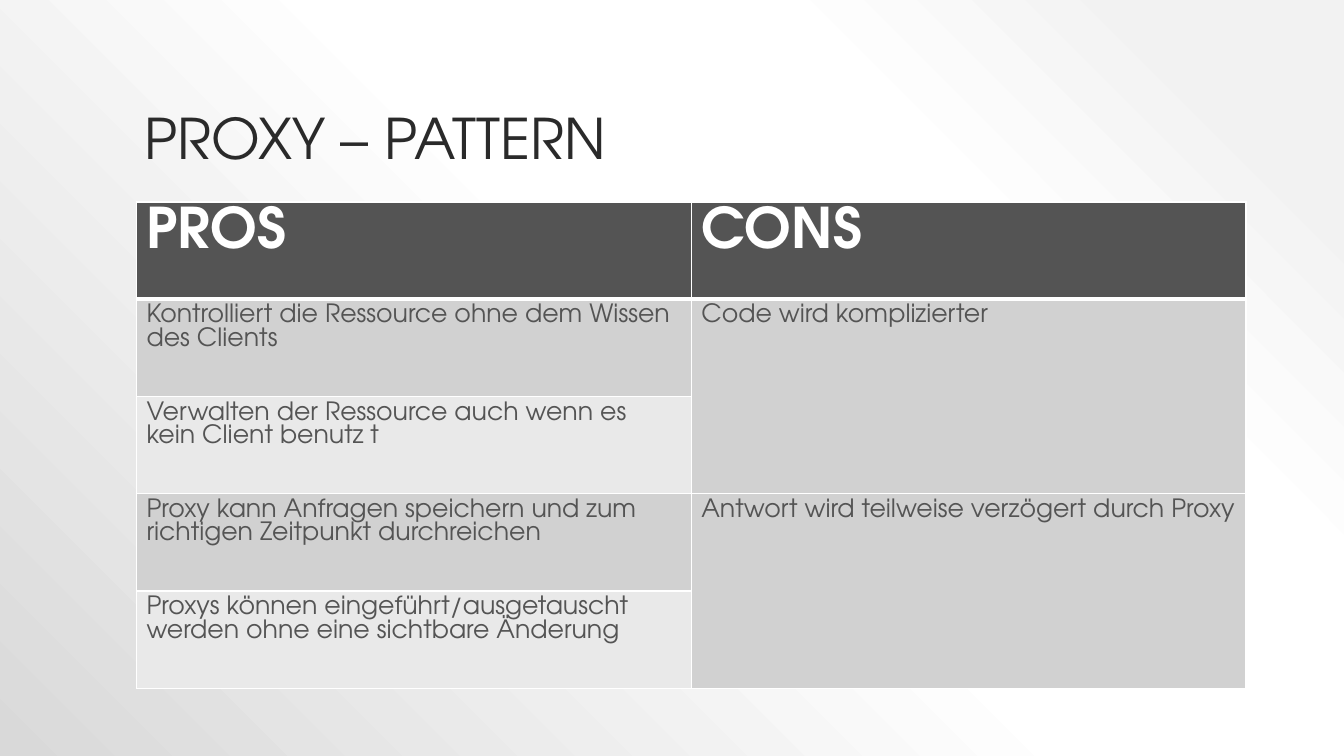
"""Build the slide that weighs the pros and cons of the proxy pattern."""
import dataclasses

import lxml.etree
import pptx
import pptx.dml.color
import pptx.enum.text
import pptx.oxml
import pptx.oxml.ns
import pptx.util

Cm = pptx.util.Cm
Pt = pptx.util.Pt
qn = pptx.oxml.ns.qn

FONT = "TeX Gyre Adventor"
COLOURS = {
    "title": "2A2A2A",
    "dark": "545454",
    "band": "D1D1D1",
    "light": "E9E9E9",
    "white": "FFFFFF",
    "mist": "F2F2F2",
    "shade": "D9D9D9",
}
BACKDROP_STOPS = ((10, "mist"), (28, "white"), (48, "white"), (100, "shade"))
ROW_COUNT = 5
ROW_HEIGHT = Cm(2.45)
COLUMN_WIDTH = Cm(13.98)


@dataclasses.dataclass(frozen=True)
class Argument:
    """One table entry with its place and the rows it spans."""

    row: int
    column: int
    text: str
    span: int = 1


ARGUMENTS = (
    Argument(0, 0, "PROS"),
    Argument(0, 1, "CONS"),
    Argument(1, 0, "Kontrolliert die Ressource ohne dem Wissen des Clients"),
    Argument(2, 0, "Verwalten der Ressource auch wenn es kein Client benutz t"),
    Argument(3, 0, "Proxy kann Anfragen speichern und zum richtigen Zeitpunkt durchreichen"),
    Argument(4, 0, "Proxys können eingeführt/ausgetauscht werden ohne eine sichtbare Änderung"),
    Argument(1, 1, "Code wird komplizierter", 2),
    Argument(3, 1, "Antwort wird teilweise verzögert durch Proxy", 2),
)


def rgb(name: str) -> pptx.dml.color.RGBColor:
    """Return the named colour."""
    return pptx.dml.color.RGBColor.from_string(COLOURS[name])


def style(paragraph, size: float, colour: str, bold: bool = False) -> None:
    """Set the font of a paragraph."""
    font = paragraph.font
    font.name, font.size, font.bold = FONT, Pt(size), bold
    font.color.rgb = rgb(colour)


def paint_backdrop(slide) -> None:
    """Spread a radial gradient from the top right corner."""
    slide.background.fill.gradient()
    gradient = slide.background._cSld.find(".//" + qn("a:gradFill"))
    for child in list(gradient):
        gradient.remove(child)
    stops = lxml.etree.SubElement(gradient, qn("a:gsLst"))
    for percent, colour in BACKDROP_STOPS:
        stop = lxml.etree.SubElement(stops, qn("a:gs"), pos=str(percent * 1000))
        lxml.etree.SubElement(stop, qn("a:srgbClr"), val=COLOURS[colour])
    circle = lxml.etree.SubElement(gradient, qn("a:path"), {"path": "circle"})
    lxml.etree.SubElement(circle, qn("a:fillToRect"), l="100000", b="100000")


def add_borders(cell, bottom: float) -> None:
    """Draw white cell borders with the given bottom width."""
    properties = cell._tc.get_or_add_tcPr()
    for index, (side, width) in enumerate(zip("LRTB", (1, 1, 1, bottom))):
        border = lxml.etree.Element(qn(f"a:ln{side}"), w=str(Pt(width)))
        fill = lxml.etree.SubElement(border, qn("a:solidFill"))
        lxml.etree.SubElement(fill, qn("a:srgbClr"), val=COLOURS["white"])
        properties.insert(index, border)


def add_argument(table, argument: Argument) -> None:
    """Fill and format the cells of one entry."""
    row, column = argument.row, argument.column
    heading = row == 0
    background = "dark" if heading else "band" if row % 2 else "light"
    last_row = row + argument.span - 1
    for covered in range(row, last_row + 1):
        cell = table.cell(covered, column)
        cell.fill.solid()
        cell.fill.fore_color.rgb = rgb(background)
        add_borders(cell, 3 if heading else 1)
    entry = table.cell(row, column)
    if argument.span > 1:
        entry.merge(table.cell(last_row, column))
    entry.text = argument.text
    style(entry.text_frame.paragraphs[0], 40 if heading else 18,
          "white" if heading else "dark", heading)


def add_title(slide) -> None:
    """Place and format the slide title."""
    title = slide.shapes.title
    title.left, title.top, title.width, title.height = Cm(3.38), Cm(0.76), Cm(27.1), Cm(3.69)
    title.text_frame.text = "PROXY – PATTERN"
    title.text_frame.vertical_anchor = pptx.enum.text.MSO_ANCHOR.BOTTOM
    heading = title.text_frame.paragraphs[0]
    heading.alignment = pptx.enum.text.PP_ALIGN.LEFT
    heading.line_spacing = 0.9
    style(heading, 40, "title")


def main() -> None:
    """Build and save the slide."""
    presentation = pptx.Presentation()
    presentation.slide_width, presentation.slide_height = Cm(33.87), Cm(19.05)
    slide = presentation.slides.add_slide(presentation.slide_layouts[5])
    paint_backdrop(slide)
    add_title(slide)
    comparison = slide.shapes.add_table(
        ROW_COUNT, 2, Cm(3.44), Cm(5.09), COLUMN_WIDTH * 2, ROW_HEIGHT * ROW_COUNT
    ).table
    for row in comparison.rows:
        row.height = ROW_HEIGHT
    for argument in ARGUMENTS:
        add_argument(comparison, argument)
    presentation.save("out.pptx")


if __name__ == "__main__":
    main()
